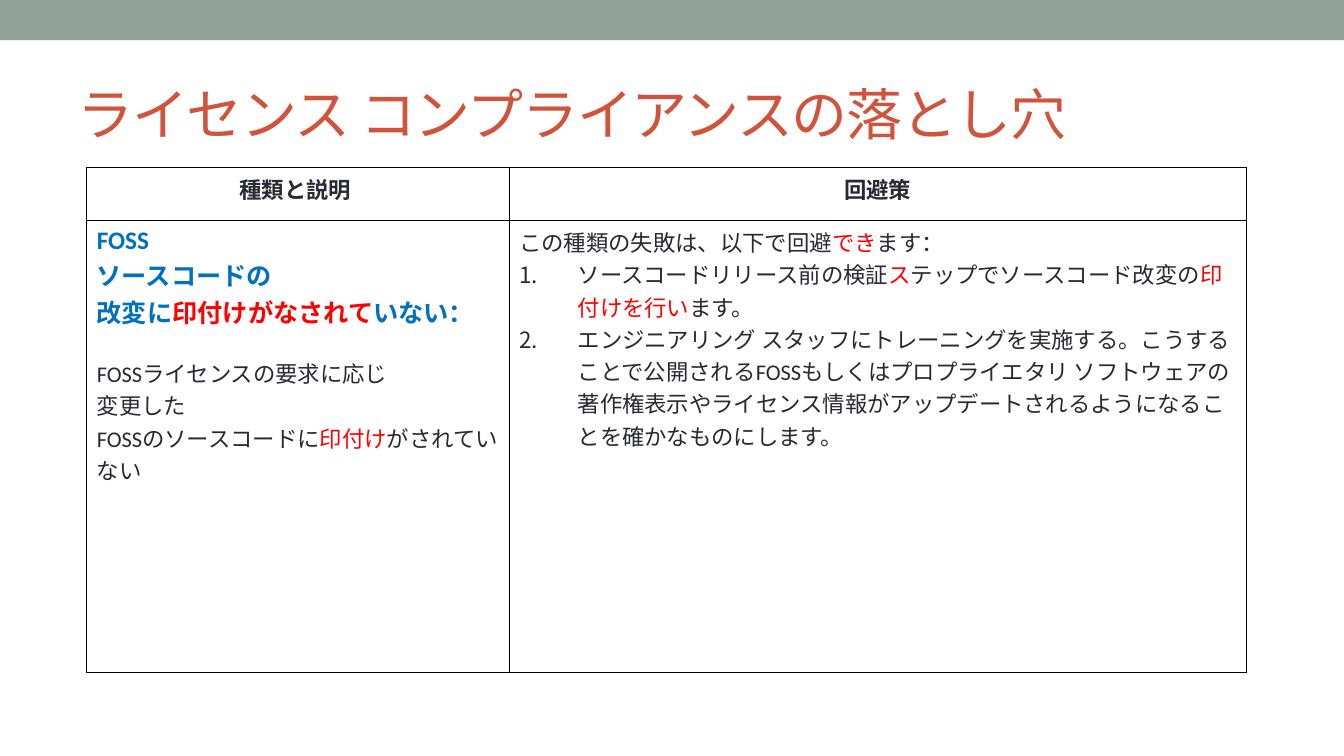
"""Build a slide on the pitfalls of licence compliance."""
from lxml.etree import SubElement
from pptx import Presentation
from pptx.dml.color import RGBColor
from pptx.enum.shapes import MSO_SHAPE
from pptx.enum.text import MSO_ANCHOR, MSO_AUTO_SIZE, PP_ALIGN
from pptx.oxml.ns import qn
from pptx.util import Inches, Pt

FONT = "Calibri"
DARK, RED, BLUE = "292934", "FF0000", "0070C0"
SAGE, BRICK, BLACK = "93A299", "D2533C", "000000"

HEADERS = ["種類と説明 ", "回避策"]
PITFALL = [
    [("FOSS", BLUE)],
    [("ソースコードの", BLUE)],
    [("改変に", BLUE), ("印付けがなされて", RED), ("いない：", BLUE)],
]
EXPLANATION = [
    [("FOSSライセンスの要求に応じ", DARK)],
    [("変更した", DARK)],
    [("FOSSのソースコードに", DARK), ("印付け", RED), ("がされていない", DARK)],
]
AVOIDANCE = [[("この種類の失敗は、以下で回避", DARK), ("でき", RED), ("ます：", DARK)]]
STEPS = [
    [("ソースコードリリース前の検証", DARK), ("ス", RED),
     ("テップでソースコード改変の", DARK), ("印付けを行い", RED), ("ます。", DARK)],
    [("エンジニアリング スタッフにトレーニングを実施する。こうすることで公開される"
      "FOSSもしくはプロプライエタリ ソフトウェアの著作権表示やライセンス情報が"
      "アップデートされるようになることを確かなものにします。", DARK)],
]


def color(value):
    return RGBColor.from_string(value)


def add_span(para, text, size, shade, bold=False):
    span = para.add_run()
    span.text = text
    span.font.name = FONT
    span.font.size = Pt(size)
    span.font.bold = bold
    span.font.color.rgb = color(shade)
    return span


def number(para):
    properties = para._p.get_or_add_pPr()
    properties.set("marL", str(Inches(0.58)))
    properties.set("indent", str(-Inches(0.58)))
    SubElement(properties, qn("a:buFont"), typeface="+mj-lt")
    SubElement(properties, qn("a:buAutoNum"), type="arabicPeriod")


def add_paragraphs(cell, lines, size=16, bold=False, numbered=False, before=0):
    frame = cell.text_frame
    for index, line in enumerate(lines):
        para = frame.add_paragraph() if frame.text else frame.paragraphs[0]
        if numbered:
            number(para)
        if before and index == 0:
            para.space_before = Pt(before)
        for text, shade in line:
            add_span(para, text, size, shade, bold)


def style_cell(cell):
    properties = cell._tc.get_or_add_tcPr()
    for side in ("lnL", "lnR", "lnT", "lnB"):
        line = SubElement(properties, qn(f"a:{side}"), w=str(Pt(1)))
        fill = SubElement(line, qn("a:solidFill"))
        SubElement(fill, qn("a:srgbClr"), val=BLACK)
    cell.fill.background()
    cell.margin_left = cell.margin_right = Inches(0.1)
    cell.margin_top = cell.margin_bottom = Inches(0.05)


def add_band(page, width):
    band = page.shapes.add_shape(MSO_SHAPE.RECTANGLE, 0, 0, width, Inches(0.4))
    band.shadow.inherit = False
    band.fill.solid()
    band.fill.fore_color.rgb = color(SAGE)
    band.line.fill.background()


def add_title(page, text):
    title = page.shapes.title
    title.left, title.top = Inches(0.67), Inches(0.58)
    title.width, title.height = Inches(12), Inches(1.08)
    frame = title.text_frame
    frame.auto_size = MSO_AUTO_SIZE.NONE
    frame.vertical_anchor = MSO_ANCHOR.MIDDLE
    para = frame.paragraphs[0]
    para.alignment = PP_ALIGN.LEFT
    span = add_span(para, text, 40, BRICK)
    span._r.get_or_add_rPr().set("spc", "-100")


def add_pitfall_table(page):
    table = page.shapes.add_table(
        2, 2, Inches(0.86), Inches(1.66), Inches(11.5), Inches(5.01)).table
    table.first_row = table.horz_banding = False
    for column, width in zip(table.columns, (4.19, 7.31)):
        column.width = Inches(width)
    for row, height in zip(table.rows, (0.53, 4.48)):
        row.height = Inches(height)
    for cell in table.iter_cells():
        style_cell(cell)
    for index, header in enumerate(HEADERS):
        cell = table.cell(0, index)
        add_paragraphs(cell, [[(header, DARK)]], bold=True)
        cell.text_frame.paragraphs[0].alignment = PP_ALIGN.CENTER
    kind, remedy = table.cell(1, 0), table.cell(1, 1)
    add_paragraphs(kind, PITFALL, size=18, bold=True)
    add_paragraphs(kind, EXPLANATION, before=19.5)
    add_paragraphs(remedy, AVOIDANCE)
    add_paragraphs(remedy, STEPS, numbered=True)


def main():
    deck = Presentation()
    deck.slide_width, deck.slide_height = Inches(13.33), Inches(7.5)
    page = deck.slides.add_slide(deck.slide_layouts[5])
    add_band(page, deck.slide_width)
    add_title(page, "ライセンス コンプライアンスの落とし穴")
    add_pitfall_table(page)
    deck.save("out.pptx")


if __name__ == "__main__":
    main()
